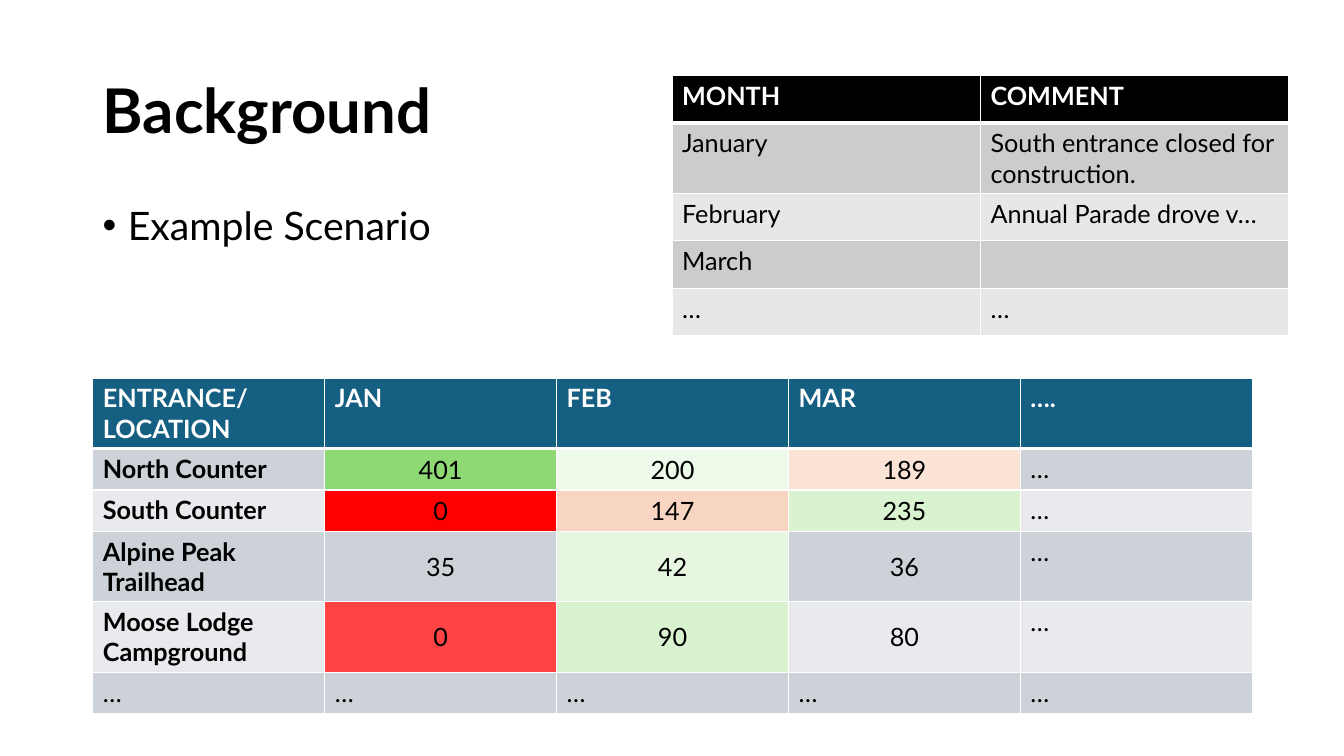
import pptx
import pptx.dml.color
import pptx.enum.text
import pptx.oxml.ns
import pptx.util
from lxml import etree

WIDTH, HEIGHT = 13.33, 7.5
MARGIN = 0.92
CONTENT_WIDTH = 11.5
FONT = "Lato"
COLORS = {
    "black": "000000", "white": "FFFFFF", "header": "156082",
    "gray": "CCCCCC", "light gray": "E7E7E7",
    "slate": "CCD2D8", "light slate": "E8EAED",
    "strong green": "8ED973", "green": "D9F2D0",
    "peach": "FBE3D6", "orange": "F6C6AD", "red": "FF0000",
}
COMMENTS = [
    ["MONTH", "COMMENT"],
    ["January", "South entrance closed for construction."],
    ["February", "Annual Parade drove v…"],
    ["March", ""],
    ["…", "…"],
]
COUNTS = [
    ["ENTRANCE/\nLOCATION", "JAN", "FEB", "MAR", "…."],
    ["North Counter", "401", "200", "189", "…"],
    ["South Counter", "0", "147", "235", "…"],
    ["Alpine Peak Trailhead", "35", "42", "36", "…"],
    ["Moose Lodge Campground", "0", "90", "80", "…"],
    ["…"] * 5,
]
# (row, column): (colour, opacity in percent)
HIGHLIGHTS = {
    (1, 1): ("strong green", 100), (1, 2): ("green", 45), (1, 3): ("peach", 100),
    (2, 1): ("red", 100), (2, 2): ("orange", 74), (2, 3): ("green", 100),
    (3, 2): ("green", 63),
    (4, 1): ("red", 74), (4, 2): ("green", 100),
}


def rgb(name):
    return pptx.dml.color.RGBColor.from_string(COLORS[name])


def inches(*lengths):
    return [pptx.util.Inches(length) for length in lengths]


def add_element(parent, tag, **attributes):
    return etree.SubElement(parent, pptx.oxml.ns.qn(tag), attributes)


def format_runs(text_frame, size, color="black", bold=False):
    for paragraph in text_frame.paragraphs:
        for run in paragraph.runs:
            run.font.name = FONT
            run.font.size = pptx.util.Pt(size)
            run.font.bold = bold
            run.font.color.rgb = rgb(color)


def add_borders(cell, top, bottom):
    """Draw white cell borders; top and bottom are widths in points."""
    properties = cell._tc.get_or_add_tcPr()
    for side, width in (("L", 1), ("R", 1), ("T", top), ("B", bottom)):
        line = add_element(properties, f"a:ln{side}", w=str(pptx.util.Pt(width)))
        fill = add_element(line, "a:solidFill")
        add_element(fill, "a:srgbClr", val=COLORS["white"])


def fill_cell(cell, color, opacity=100):
    cell.fill.solid()
    cell.fill.fore_color.rgb = rgb(color)
    if opacity < 100:
        properties = cell._tc.get_or_add_tcPr()
        fill_color = properties.find(
            pptx.oxml.ns.qn("a:solidFill") + "/" + pptx.oxml.ns.qn("a:srgbClr"))
        add_element(fill_color, "a:alpha", val=str(opacity * 1000))


def add_data_table(slide, box, rows, header_color, bands, highlights=None,
                   bold_labels=False):
    """Add a banded table; with bold_labels, first-column names are bold and numbers centred."""
    highlights = highlights or {}
    left, top, width, height = inches(*box)
    table = slide.shapes.add_table(
        len(rows), len(rows[0]), left, top, width, height).table
    for row_index, row in enumerate(rows):
        is_header = row_index == 0
        for column_index, text in enumerate(row):
            cell = table.cell(row_index, column_index)
            cell.text_frame.text = text
            label = bold_labels and column_index == 0 and text != "…"
            format_runs(cell.text_frame, 18, "white" if is_header else "black",
                        bold=is_header or label)
            if text.isdigit():
                cell.vertical_anchor = pptx.enum.text.MSO_ANCHOR.MIDDLE
                cell.text_frame.paragraphs[0].alignment = pptx.enum.text.PP_ALIGN.CENTER
            add_borders(cell, top=3 if row_index == 1 else 1,
                        bottom=3 if is_header else 1)
            band = header_color if is_header else bands[(row_index - 1) % 2]
            fill_cell(cell, *highlights.get((row_index, column_index), (band, 100)))


def place_title(slide, box, text):
    title = slide.shapes.title
    title.left, title.top, title.width, title.height = inches(*box)
    text_frame = title.text_frame
    text_frame.text = text
    text_frame.vertical_anchor = pptx.enum.text.MSO_ANCHOR.MIDDLE
    text_frame.paragraphs[0].alignment = pptx.enum.text.PP_ALIGN.LEFT
    text_frame.paragraphs[0].line_spacing = 0.9
    format_runs(text_frame, 44, bold=True)


def add_bullet_text(slide, box, text):
    text_frame = slide.shapes.add_textbox(*inches(*box)).text_frame
    text_frame.word_wrap = True
    text_frame.text = text
    paragraph = text_frame.paragraphs[0]
    paragraph.line_spacing = 0.9
    properties = paragraph._p.get_or_add_pPr()
    indent = pptx.util.Inches(0.25)
    properties.set("marL", str(indent))
    properties.set("indent", str(-indent))
    add_element(properties, "a:buFont", typeface="Arial")
    add_element(properties, "a:buChar", char="•")
    format_runs(text_frame, 28)


def build_background_slide(presentation):
    slide = presentation.slides.add_slide(presentation.slide_layouts[5])
    place_title(slide, (MARGIN, 0.4, CONTENT_WIDTH, 1.45), "Background")
    add_data_table(slide, (WIDTH / 2, 0.75, 6.12, 0.47 * len(COMMENTS)), COMMENTS,
                   "black", ("gray", "light gray"))
    add_data_table(slide, (MARGIN, HEIGHT / 2, CONTENT_WIDTH, 0.41 * len(COUNTS)), COUNTS,
                   "header", ("slate", "light slate"), HIGHLIGHTS, bold_labels=True)
    add_bullet_text(slide, (MARGIN, 2, 4.44, 4.76), "Example Scenario")


def main():
    presentation = pptx.Presentation()
    presentation.slide_width, presentation.slide_height = inches(WIDTH, HEIGHT)
    build_background_slide(presentation)
    presentation.save("out.pptx")


if __name__ == "__main__":
    main()
